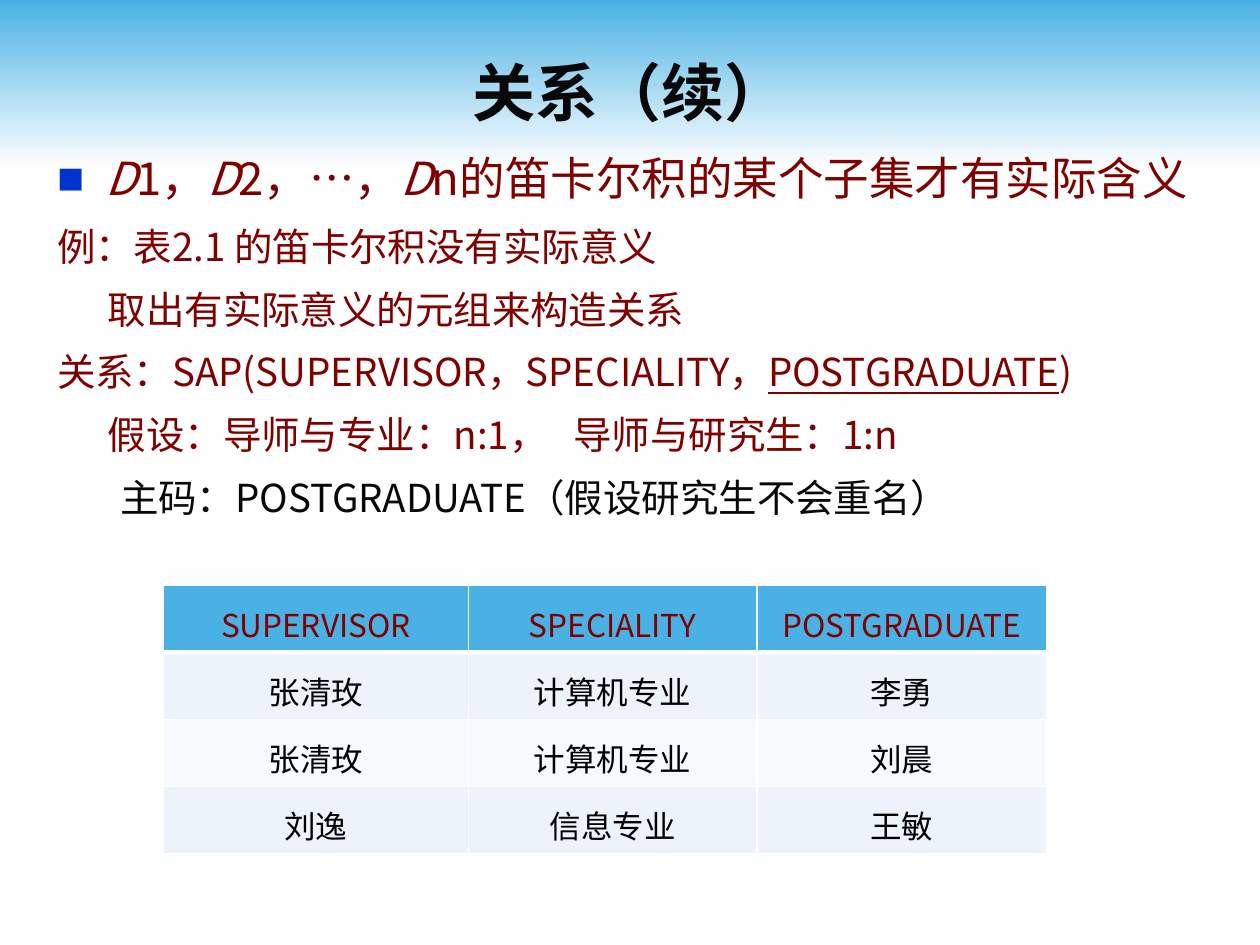
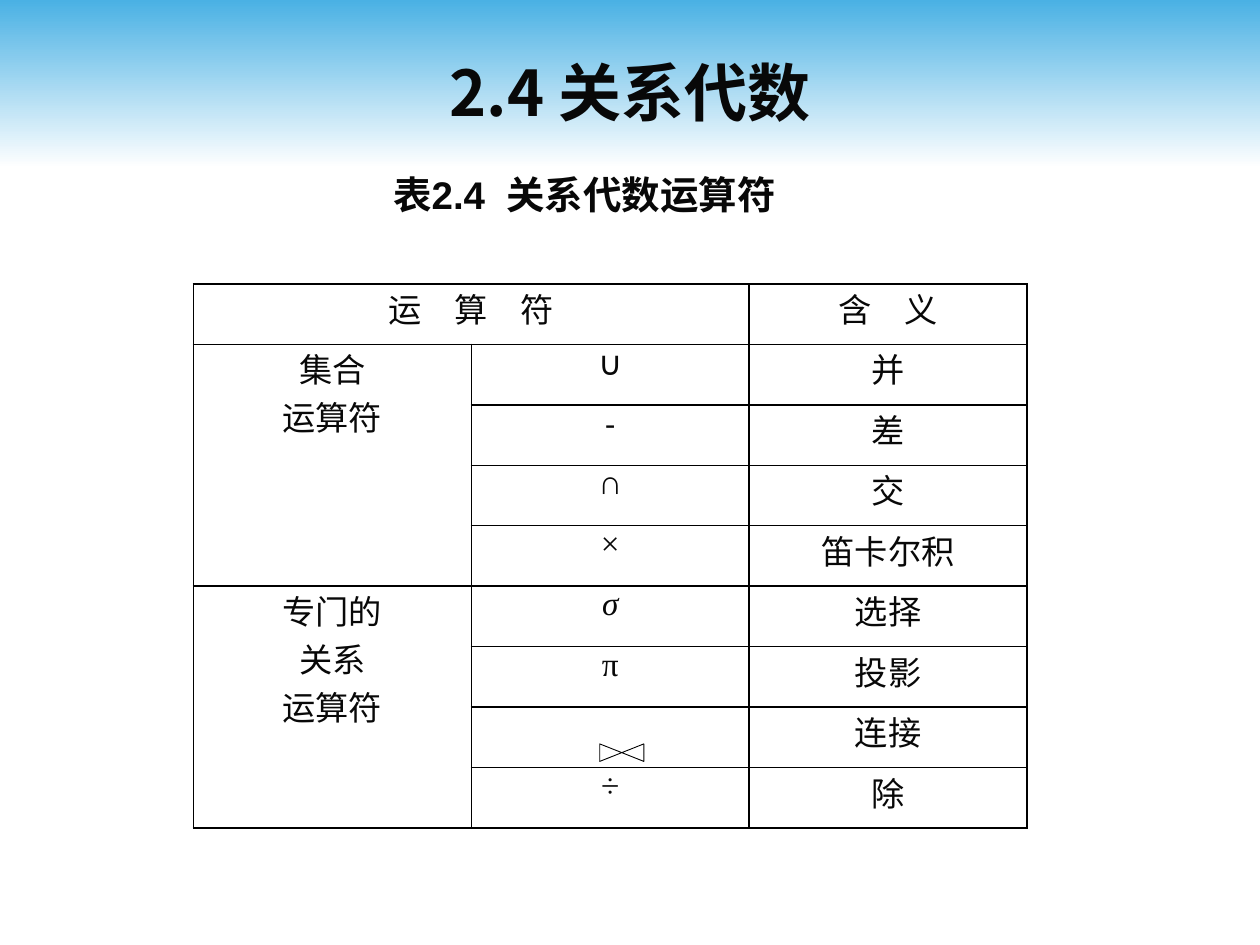
from lxml import etree
from pptx import Presentation
from pptx.dml.color import RGBColor
from pptx.enum.shapes import MSO_SHAPE
from pptx.enum.text import MSO_ANCHOR, PP_ALIGN
from pptx.oxml.ns import qn
from pptx.util import Pt

RECTANGLE, COLLATE = MSO_SHAPE.RECTANGLE, MSO_SHAPE.FLOWCHART_COLLATE
MIDDLE, TOP = MSO_ANCHOR.MIDDLE, MSO_ANCHOR.TOP
CENTER, JUSTIFY = PP_ALIGN.CENTER, PP_ALIGN.JUSTIFY
COLORS = {
    "sky": "4AB1E4", "white": "FFFFFF", "ink": "080808", "black": "000000",
    "maroon": "800000", "bullet": "0033CC", "row_odd": "EDF3FA", "row_even": "F6F9FD",
}
SANS, SERIF, BODY, ARIAL = "Noto Sans CJK SC", "Times New Roman", "Calibri", "Arial"
SLIDE_WIDTH, SLIDE_HEIGHT = 720, 540
TITLE_BOX = (36, 18, 648, 68.4)

STATEMENT = [("D", "i"), ("1，", ""), ("D", "i"), ("2，…，", ""), ("D", "i"),
             ("n的笛卡尔积的某个子集才有实际含义", "")]
EXPLANATIONS = [
    (0, "maroon", [("例：表2.1 的笛卡尔积没有实际意义", "")]),
    (29, "maroon", [("取出有实际意义的元组来构造关系", "")]),
    (0, "maroon", [("关系：SAP(SUPERVISOR，SPECIALITY，", ""), ("POSTGRADUATE", "u"), (")", "")]),
    (29, "maroon", [("假设：导师与专业：n:1，   导师与研究生：1:n", "")]),
    (36, "ink", [("主码：POSTGRADUATE（假设研究生不会重名）", "")]),
]
SAP_ROWS = [
    ("SUPERVISOR", "SPECIALITY", "POSTGRADUATE"),
    ("张清玫", "计算机专业", "李勇"),
    ("张清玫", "计算机专业", "刘晨"),
    ("刘逸", "信息专业", "王敏"),
]
OPERATOR_GROUPS = [
    (("集合", "运算符"),
     [("∪", BODY, "并"), ("-", BODY, "差"), ("∩", SERIF, "交"), ("×", SERIF, "笛卡尔积")]),
    (("专门的", "关系", "运算符"),
     [("σ", SERIF, "选择"), ("π", SERIF, "投影"), ("", SERIF, "连接"), ("÷", SERIF, "除")]),
]


def color(name):
    """Return the named palette colour."""
    return RGBColor.from_string(COLORS[name])


def points(*lengths):
    """Convert numbers to lengths in points."""
    return [Pt(length) for length in lengths]


def add_run(paragraph, text, size, color_name, font=SANS, style=""):
    """Append a run; style holds any of b, i and u."""
    run = paragraph.add_run()
    run.text = text
    run.font.size, run.font.name = Pt(size), font
    run.font.color.rgb = color(color_name)
    run.font.bold, run.font.italic, run.font.underline = (flag in style for flag in "biu")
    etree.SubElement(run._r.get_or_add_rPr(), qn("a:ea"), typeface=SANS)


def add_text_box(slide, box, anchor=TOP, wrap=True):
    """Add an empty text box and return its text frame."""
    frame = slide.shapes.add_textbox(*points(*box)).text_frame
    frame.word_wrap, frame.vertical_anchor = wrap, anchor
    return frame


def add_heading(slide, box, text, size, font=SANS, wrap=True):
    """Add a centred bold line of text."""
    paragraph = add_text_box(slide, box, MIDDLE, wrap).paragraphs[0]
    paragraph.alignment = CENTER
    add_run(paragraph, text, size, "ink", font, "b")


def add_titled_slide(presentation, title):
    """Add a blank slide with the gradient band and its title."""
    slide = presentation.slides.add_slide(presentation.slide_layouts[6])
    band = slide.shapes.add_shape(RECTANGLE, *points(0, 0, SLIDE_WIDTH, 96))
    band.shadow.inherit = False
    band.line.fill.background()
    band.fill.gradient()
    band.fill.gradient_angle = 270
    for stop, position, name in zip(band.fill.gradient_stops, (0, 1), ("sky", "white")):
        stop.position, stop.color.rgb = position, color(name)
    add_heading(slide, TITLE_BOX, title, 36)
    return slide


def set_indent(paragraph, margin, hanging=0, bullet=None):
    """Set the left margin and an optional hanging square bullet."""
    properties = paragraph._p.get_or_add_pPr()
    properties.set("marL", str(Pt(margin)))
    properties.set("indent", str(-Pt(hanging)))
    if bullet:
        bullet_color = etree.SubElement(properties, qn("a:buClr"))
        etree.SubElement(bullet_color, qn("a:srgbClr"), val=COLORS["bullet"])
        etree.SubElement(properties, qn("a:buSzPct"), val="60000")
        etree.SubElement(properties, qn("a:buFont"), typeface=SANS)
        etree.SubElement(properties, qn("a:buChar"), char=bullet)


def add_explanation(slide, box):
    """Add the bulleted statement and the lines that explain it."""
    frame = add_text_box(slide, box)
    statement = frame.paragraphs[0]
    statement.alignment, statement.line_spacing = JUSTIFY, 0.9
    set_indent(statement, 27.4, 27.4, "■")
    for text, style in STATEMENT:
        add_run(statement, text, 26, "maroon", style=style)
    for margin, color_name, runs in EXPLANATIONS:
        paragraph = frame.add_paragraph()
        paragraph.line_spacing, paragraph.space_before = 1.2, Pt(4.3)
        set_indent(paragraph, margin)
        for text, style in runs:
            add_run(paragraph, text, 22, color_name, style=style)


def add_plain_table(slide, box, row_count, widths):
    """Add a table without banding, with the given column widths."""
    table = slide.shapes.add_table(row_count, len(widths), *points(*box)).table
    table.first_row = table.horz_banding = False
    for column, width in zip(table.columns, widths):
        column.width = Pt(width)
    for row in table.rows:
        row.height = Pt(box[3] / row_count)
    return table


def set_borders(cell, color_name, left=1, right=1, top=1, bottom=1):
    """Draw the four borders of a cell."""
    properties = cell._tc.get_or_add_tcPr()
    for side, width in zip("LRTB", (left, right, top, bottom)):
        line = etree.SubElement(properties, qn(f"a:ln{side}"), w=str(Pt(width)))
        fill = etree.SubElement(line, qn("a:solidFill"))
        etree.SubElement(fill, qn("a:srgbClr"), val=COLORS[color_name])


def fill_cell(cell, lines, size, color_name, font, style="", spacing=None):
    """Write centred lines into a cell."""
    frame = cell.text_frame
    for index, text in enumerate(lines):
        paragraph = frame.add_paragraph() if index else frame.paragraphs[0]
        paragraph.alignment = CENTER
        if spacing:
            paragraph.line_spacing = spacing
        if text:
            add_run(paragraph, text, size, color_name, font, style)


def add_sap_table(slide, box):
    """Add the relation table with a coloured header and striped rows."""
    table = add_plain_table(slide, box, len(SAP_ROWS), (174.2, 164.9, 165.6))
    for row_index, row in enumerate(SAP_ROWS):
        header = row_index == 0
        stripe = "sky" if header else "row_odd" if row_index % 2 else "row_even"
        for column_index, text in enumerate(row):
            cell = table.cell(row_index, column_index)
            set_borders(cell, "white", top=3 if row_index == 1 else 1, bottom=3 if header else 1)
            cell.fill.solid()
            cell.fill.fore_color.rgb = color(stripe)
            fill_cell(cell, [text], 18, "maroon" if header else "black", SANS, spacing=1.2)


def add_operator_table(slide, box):
    """Add the operator table with merged group cells and the join sign."""
    left, top, width, height = box
    row_count = 1 + sum(len(operators) for _, operators in OPERATOR_GROUPS)
    table = add_plain_table(slide, box, row_count, [width / 3] * 3)
    for index, cell in enumerate(table.iter_cells()):
        row_index, column_index = divmod(index, 3)
        cell.margin_left = cell.margin_right = Pt(5)
        cell.margin_top = cell.margin_bottom = 0
        set_borders(cell, "black", right=1.5 if row_index and column_index == 2 else 1)
        cell.fill.background()
    table.cell(0, 0).merge(table.cell(0, 1))
    fill_cell(table.cell(0, 0), ["运　算　符"], 19, "ink", BODY)
    fill_cell(table.cell(0, 2), ["含　义"], 19, "ink", BODY)
    row_index = 1
    for group, operators in OPERATOR_GROUPS:
        group_cell = table.cell(row_index, 0)
        group_cell.merge(table.cell(row_index + len(operators) - 1, 0))
        fill_cell(group_cell, group, 19, "ink", SERIF)
        for symbol, font, meaning in operators:
            style = "i" if symbol == "σ" else ""
            fill_cell(table.cell(row_index, 1), [symbol], 19, "ink", font, style)
            fill_cell(table.cell(row_index, 2), [meaning], 19, "ink", SERIF)
            row_index += 1
    join_box = (left + width / 2 + 1.6, top + height * 7 / 9 + 13.4, 10, 25.2)
    join_sign = slide.shapes.add_shape(COLLATE, *points(*join_box))
    join_sign.rotation = 90
    join_sign.shadow.inherit = False
    join_sign.fill.solid()
    join_sign.fill.fore_color.rgb = color("white")
    join_sign.line.color.rgb, join_sign.line.width = color("black"), Pt(0.5)


def build_relation_slide(presentation):
    """Build the slide on meaningful subsets of a Cartesian product."""
    slide = add_titled_slide(presentation, "关系（续）")
    add_explanation(slide, (25.5, 86, 668.9, 372))
    add_sap_table(slide, (93.4, 334.6, 504.7, 153.2))


def build_algebra_slide(presentation):
    """Build the slide listing the relational algebra operators."""
    slide = add_titled_slide(presentation, "2.4 关系代数")
    add_heading(slide, (160.4, 90.2, 347, 41.8), "表2.4  关系代数运算符", 22, ARIAL, False)
    add_operator_table(slide, (110.5, 162.2, 476.4, 311))


def main():
    """Build and save the presentation."""
    presentation = Presentation()
    presentation.slide_width, presentation.slide_height = points(SLIDE_WIDTH, SLIDE_HEIGHT)
    build_relation_slide(presentation)
    build_algebra_slide(presentation)
    presentation.save("out.pptx")


if __name__ == "__main__":
    main()
